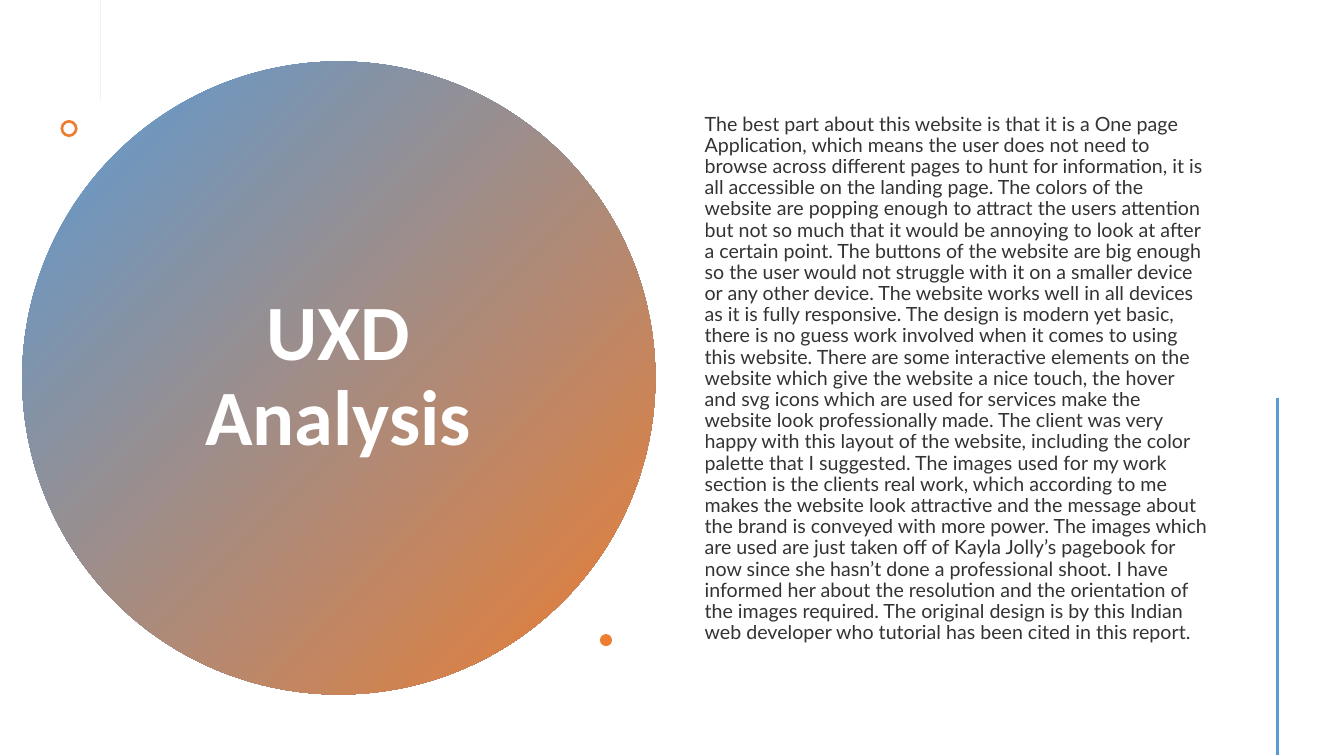
from math import cos, pi, sin

from lxml.etree import SubElement
from pptx import Presentation
from pptx.dml.color import RGBColor
from pptx.enum.shapes import MSO_CONNECTOR, MSO_SHAPE
from pptx.enum.text import MSO_ANCHOR, PP_ALIGN
from pptx.oxml.ns import qn
from pptx.util import Inches, Pt

TITLE = "UXD Analysis"
BODY_SENTENCES = [
    "The best part about this website is that it is a One page Application, which means "
    "the user does not need to browse across different pages to hunt for information, it "
    "is all accessible on the landing page.",
    "The colors of the website are popping enough to attract the users attention but not "
    "so much that it would be annoying to look at after a certain point.",
    "The buttons of the website are big enough so the user would not struggle with it on "
    "a smaller device or any other device.",
    "The website works well in all devices as it is fully responsive.",
    "The design is modern yet basic, there is no guess work involved when it comes to "
    "using this website.",
    "There are some interactive elements on the website which give the website a nice "
    "touch, the hover and svg icons which are used for services make the website look "
    "professionally made.",
    "The client was very happy with this layout of the website, including the color "
    "palette that I suggested.",
    "The images used for my work section is the clients real work, which according to me "
    "makes the website look attractive and the message about the brand is conveyed with "
    "more power.",
    "The images which are used are just taken off of Kayla Jolly’s pagebook for now since "
    "she hasn’t done a professional shoot.",
    "I have informed her about the resolution and the orientation of the images required.",
    "The original design is by this Indian web developer who tutorial has been cited in "
    "this report.",
]

BLUE = RGBColor(0x5B, 0x9B, 0xD5)
ORANGE = RGBColor(0xED, 0x7D, 0x31)
WHITE = RGBColor(0xFF, 0xFF, 0xFF)
BLACK = RGBColor(0x00, 0x00, 0x00)

# left, top, diameter
CIRCLE = (0.22, 0.61, 6.28)
RING = (0.6, 1.19, 0.17)
DOT = (5.95, 6.29, 0.12)
RING_THICKNESS = 0.16  # share of the diameter

# centre x, centre y, arm length, half thickness
PLUS = (1.33, 0.51, 0.1, 0.01)
ARC_STEPS = 8


def add_round(slide, preset, left, top, diameter):
    shape = slide.shapes.add_shape(
        preset, Inches(left), Inches(top), Inches(diameter), Inches(diameter))
    paint_orange(shape)
    return shape


def paint_orange(shape):
    shape.shadow.inherit = False
    shape.fill.solid()
    shape.fill.fore_color.rgb = ORANGE
    shape.line.fill.background()


def add_plus(slide, center_x, center_y, arm, half):
    """Draw a plus sign whose four arms have round ends."""
    points = []
    for quarter in range(4):
        direction = quarter * pi / 2
        tip_x = center_x + (arm - half) * cos(direction)
        tip_y = center_y + (arm - half) * sin(direction)
        for step in range(ARC_STEPS + 1):
            angle = direction - pi / 2 + step * pi / ARC_STEPS
            points.append((tip_x + half * cos(angle), tip_y + half * sin(angle)))
        corner = direction + pi / 4
        points.append((center_x + half * 2 ** 0.5 * cos(corner),
                       center_y + half * 2 ** 0.5 * sin(corner)))
    builder = slide.shapes.build_freeform(*points[0], scale=Inches(1))
    builder.add_line_segments(points[1:], close=True)
    paint_orange(builder.convert_to_shape())


def add_text(slide, text, left, top, width, height, *, font, size, color,
             bold=False, align=PP_ALIGN.LEFT, opacity=100):
    box = slide.shapes.add_textbox(
        Inches(left), Inches(top), Inches(width), Inches(height))
    frame = box.text_frame
    frame.word_wrap = True
    frame.vertical_anchor = MSO_ANCHOR.MIDDLE
    paragraph = frame.paragraphs[0]
    paragraph.alignment = align
    paragraph.line_spacing = 0.9
    run = paragraph.add_run()
    run.text = text
    run.font.name = font
    run.font.size = Pt(size)
    run.font.bold = bold
    run.font.color.rgb = color
    if opacity < 100:
        color_element = run.font._element.find(".//" + qn("a:srgbClr"))
        SubElement(color_element, qn("a:alpha"), val=str(opacity * 1000))


def add_side_line(slide, x, top, bottom):
    line = slide.shapes.add_connector(
        MSO_CONNECTOR.STRAIGHT, Inches(x), Inches(top), Inches(x), Inches(bottom))
    line.line.color.rgb = BLUE
    line.line.width = Pt(2)
    SubElement(line._element.spPr, qn("a:effectLst"))


def main():
    presentation = Presentation()
    presentation.slide_width = Inches(13.33)
    presentation.slide_height = Inches(7.5)
    slide = presentation.slides.add_slide(presentation.slide_layouts[6])

    circle = add_round(slide, MSO_SHAPE.OVAL, *CIRCLE)
    circle.fill.gradient()
    circle.fill.gradient_angle = 315
    for stop, color, position in zip(circle.fill.gradient_stops, (BLUE, ORANGE), (0, 1)):
        stop.color.rgb = color
        stop.position = position

    add_text(slide, TITLE, 1.36, 1.41, 3.99, 4.67, font="Calibri", size=56,
             color=WHITE, bold=True, align=PP_ALIGN.CENTER)
    add_plus(slide, *PLUS)
    ring = add_round(slide, MSO_SHAPE.DONUT, *RING)
    ring.adjustments[0] = RING_THICKNESS
    add_text(slide, " ".join(BODY_SENTENCES), 6.89, 0.57, 5.22, 6.38, font="Lato",
             size=14, color=BLACK, opacity=80)
    add_round(slide, MSO_SHAPE.OVAL, *DOT)
    add_side_line(slide, 12.67, 3.95, 7.49)

    presentation.save("out.pptx")


if __name__ == "__main__":
    main()
